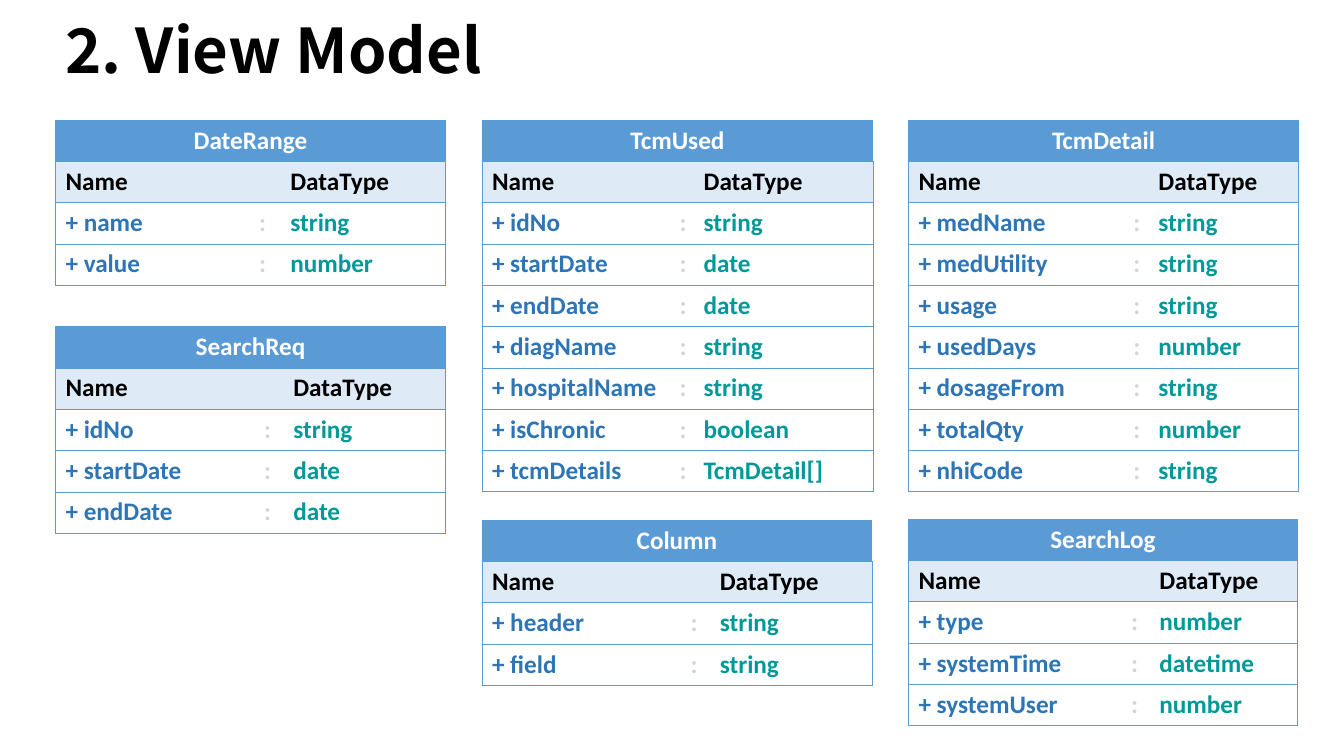
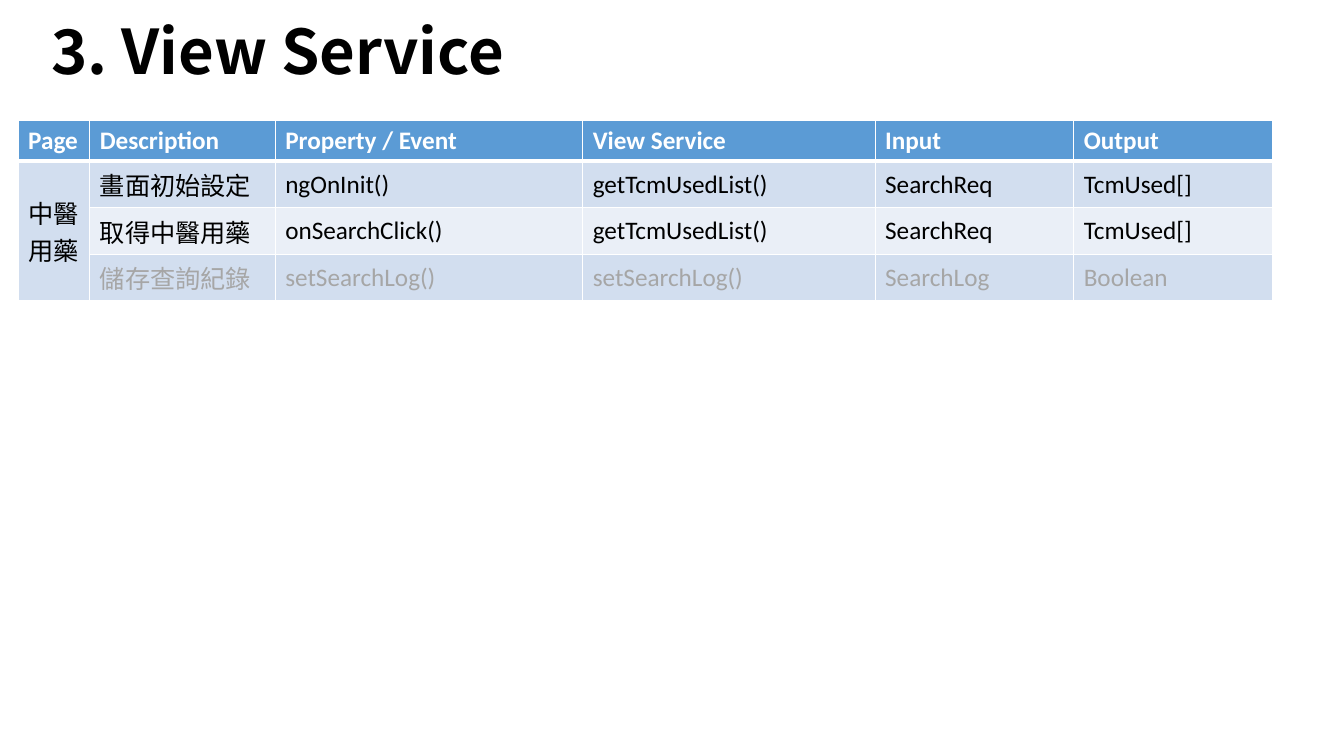
from lxml.etree import SubElement
from pptx import Presentation
from pptx.dml.color import RGBColor
from pptx.enum.text import MSO_ANCHOR, MSO_AUTO_SIZE, PP_ALIGN
from pptx.oxml.ns import qn
from pptx.util import Inches, Pt

HEX = {
    "blue": "5B9BD5", "pale": "DEEBF7", "name": "2E75B6", "colon": "D4D4D4",
    "type": "009999", "black": "000000", "white": "FFFFFF", "gray": "A6A6A6",
    "odd": "D2DEEF", "even": "EAEFF7",
}
LATIN, CJK = "Calibri", "Noto Sans CJK SC"
TOP, ROW, TALL = 1.19, 0.41, 0.46
LEFT, PITCH = 0.55, 4.23

STACKS = [
    (0.41, [
        ("DateRange", (1.92, 0.31, 1.64), [("name", "string"), ("value", "number")]),
        ("SearchReq", (1.97, 0.29, 1.61), [
            ("idNo", "string"), ("startDate", "date"), ("endDate", "date")]),
    ]),
    (0.28, [
        ("TcmUsed", (1.86, 0.23, 1.78), [
            ("idNo", "string"), ("startDate", "date"), ("endDate", "date"),
            ("diagName", "string"), ("hospitalName", "string"),
            ("isChronic", "boolean"), ("tcmDetails", "TcmDetail[]")]),
        ("Column", (1.97, 0.29, 1.61), [("header", "string"), ("field", "string")]),
    ]),
    (0.27, [
        ("TcmDetail", (2.13, 0.25, 1.49), [
            ("medName", "string"), ("medUtility", "string"), ("usage", "string"),
            ("usedDays", "number"), ("dosageFrom", "string"),
            ("totalQty", "number"), ("nhiCode", "string")]),
        ("SearchLog", (2.11, 0.28, 1.47), [
            ("type", "number"), ("systemTime", "datetime"), ("systemUser", "number")]),
    ]),
]

WIDTHS = (0.71, 1.84, 3.05, 2.9, 1.97, 1.97)
HEADS = ("Page", "Description", "Property / Event", "View Service", "Input", "Output")
PAGE = "中醫用藥"
CALLS = [
    ("畫面初始設定", "ngOnInit()", "getTcmUsedList()", "SearchReq", "TcmUsed[]"),
    ("取得中醫用藥", "onSearchClick()", "getTcmUsedList()", "SearchReq", "TcmUsed[]"),
    ("儲存查詢紀錄", "setSearchLog()", "setSearchLog()", "SearchLog", "Boolean"),
]


def color(key):
    return RGBColor.from_string(HEX[key])


def style(par, size, key, bold, face):
    font = par.font
    font.size, font.bold, font.name = Pt(size), bold, face
    font.color.rgb = color(key)
    if face == CJK:
        for run in par.runs:
            props = run._r.get_or_add_rPr()
            for tag in ("a:latin", "a:ea"):
                SubElement(props, qn(tag), typeface=face)


def add_slide(deck, text, box):
    slide = deck.slides.add_slide(deck.slide_layouts[5])
    title = slide.shapes.title
    title.left, title.top, title.width, title.height = map(Inches, box)
    frame = title.text_frame
    frame.text = text
    frame.word_wrap = True
    frame.auto_size = MSO_AUTO_SIZE.NONE
    frame.vertical_anchor = MSO_ANCHOR.MIDDLE
    par = frame.paragraphs[0]
    par.alignment, par.line_spacing = PP_ALIGN.LEFT, 0.9
    style(par, 44, "black", True, CJK)
    return slide


def add_grid(slide, left, top, widths, heights):
    frame = slide.shapes.add_table(
        len(heights), len(widths), Inches(left), Inches(top),
        Inches(sum(widths)), Inches(sum(heights)))
    table = frame.table
    table.first_row = table.horz_banding = False
    for col, width in zip(table.columns, widths):
        col.width = Inches(width)
    for row, height in zip(table.rows, heights):
        row.height = Inches(height)
    return table


def set_edges(cell, edges):
    props = cell._tc.get_or_add_tcPr()
    for side in "LRTB":
        key, width = edges.get(side, (None, 0))
        line = SubElement(props, qn(f"a:ln{side}"), w=str(Pt(width)))
        if key:
            fill = SubElement(line, qn("a:solidFill"))
            SubElement(fill, qn("a:srgbClr"), val=HEX[key])
        else:
            SubElement(line, qn("a:noFill"))


def fill_cell(cell, text, key, bold, back, edges, face=LATIN):
    set_edges(cell, edges)
    if back:
        cell.fill.solid()
        cell.fill.fore_color.rgb = color(back)
    else:
        cell.fill.background()
    cell.text = text
    style(cell.text_frame.paragraphs[0], 18, key, bold, face)


def add_card(slide, left, top, name, widths, fields):
    rows = [(name, "", ""), ("Name", "", "DataType")]
    rows += [(f"+ {field}", ":", kind) for field, kind in fields]
    table = add_grid(slide, left, top, widths, [ROW] * len(rows))
    looks = [(("white",) * 3, "blue"), (("black",) * 3, "pale")]
    body = (("name", "colon", "type"), None)
    for r, row in enumerate(rows):
        keys, back = looks[r] if r < len(looks) else body
        for c, text in enumerate(row):
            sides = "TB" + ("L", "", "R")[c]
            edges = {side: ("blue", 0.5) for side in sides}
            fill_cell(table.cell(r, c), text, keys[c], True, back, edges)
    head = table.cell(0, 0)
    head.merge(table.cell(0, 2))
    head.text_frame.paragraphs[0].alignment = PP_ALIGN.CENTER


def add_models(deck):
    slide = add_slide(deck, "2. View Model", (LEFT, 0.14, 12.17, 0.78))
    for i, (gap, cards) in enumerate(STACKS):
        top = TOP
        for name, widths, fields in cards:
            add_card(slide, LEFT + i * PITCH, top, name, widths, fields)
            top += (len(fields) + 2) * ROW + gap


def add_service(deck):
    slide = add_slide(deck, "3. View Service", (0.41, -0.1, 9.3, 1.28))
    rows = [HEADS] + [(PAGE if i == 0 else "",) + call for i, call in enumerate(CALLS)]
    table = add_grid(slide, 0.18, TOP, WIDTHS, [ROW] + [TALL] * len(CALLS))
    for r, row in enumerate(rows):
        for c, text in enumerate(row):
            cell = table.cell(r, c)
            edges = {side: ("white", 1) for side in "LRTB"}
            if r < 2:
                edges["T" if r else "B"] = ("white", 3)
            if r == 0:
                fill_cell(cell, text, "white", True, "blue", edges)
            else:
                key = "gray" if r == len(CALLS) and c else "black"
                back = "odd" if r % 2 or c == 0 else "even"
                fill_cell(cell, text, key, False, back, edges, CJK if c < 2 else LATIN)
            cell.vertical_anchor = MSO_ANCHOR.MIDDLE
    table.cell(1, 0).merge(table.cell(len(CALLS), 0))


def main():
    deck = Presentation()
    deck.slide_width, deck.slide_height = Inches(13.33), Inches(7.5)
    add_models(deck)
    add_service(deck)
    deck.save("out.pptx")


if __name__ == "__main__":
    main()
